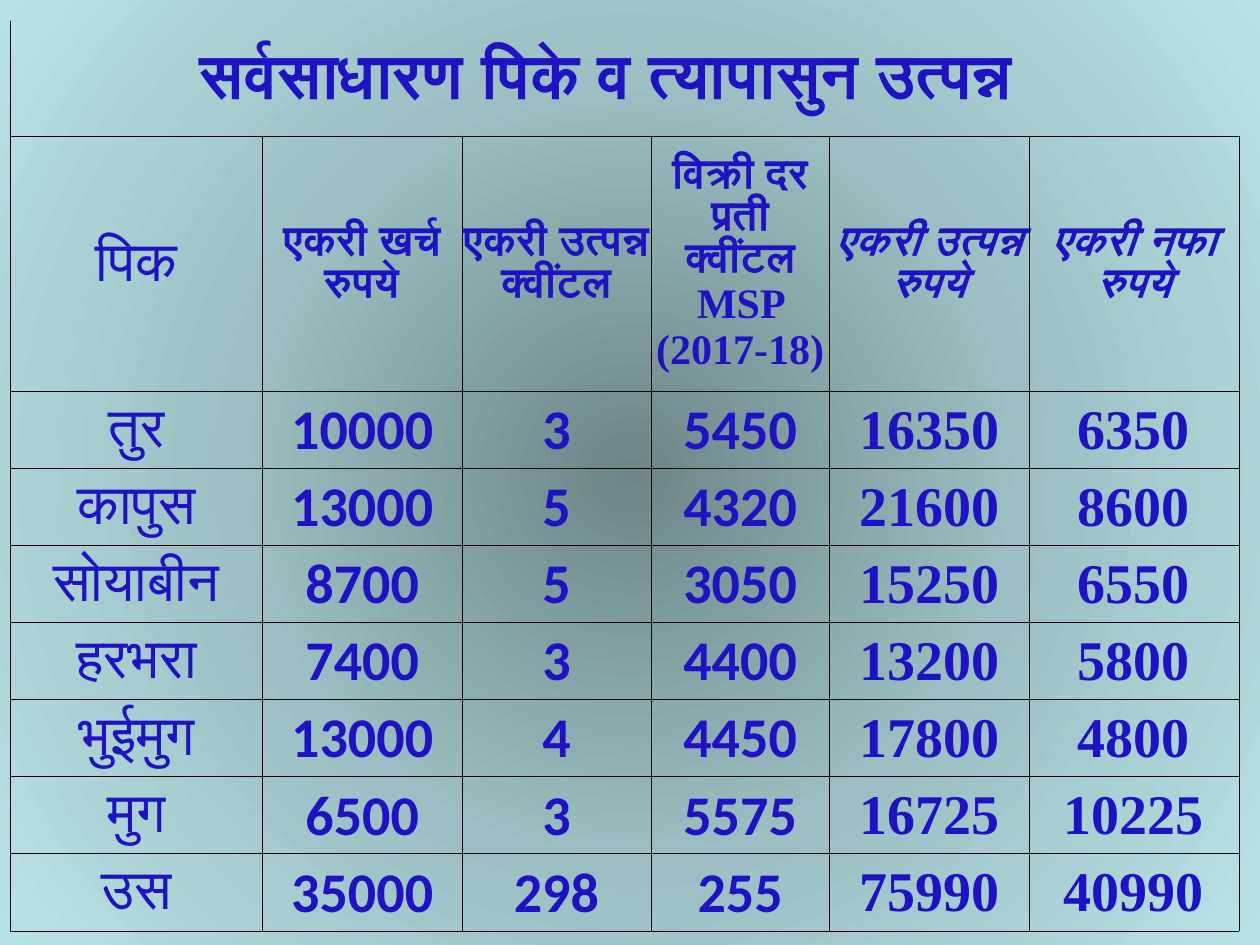
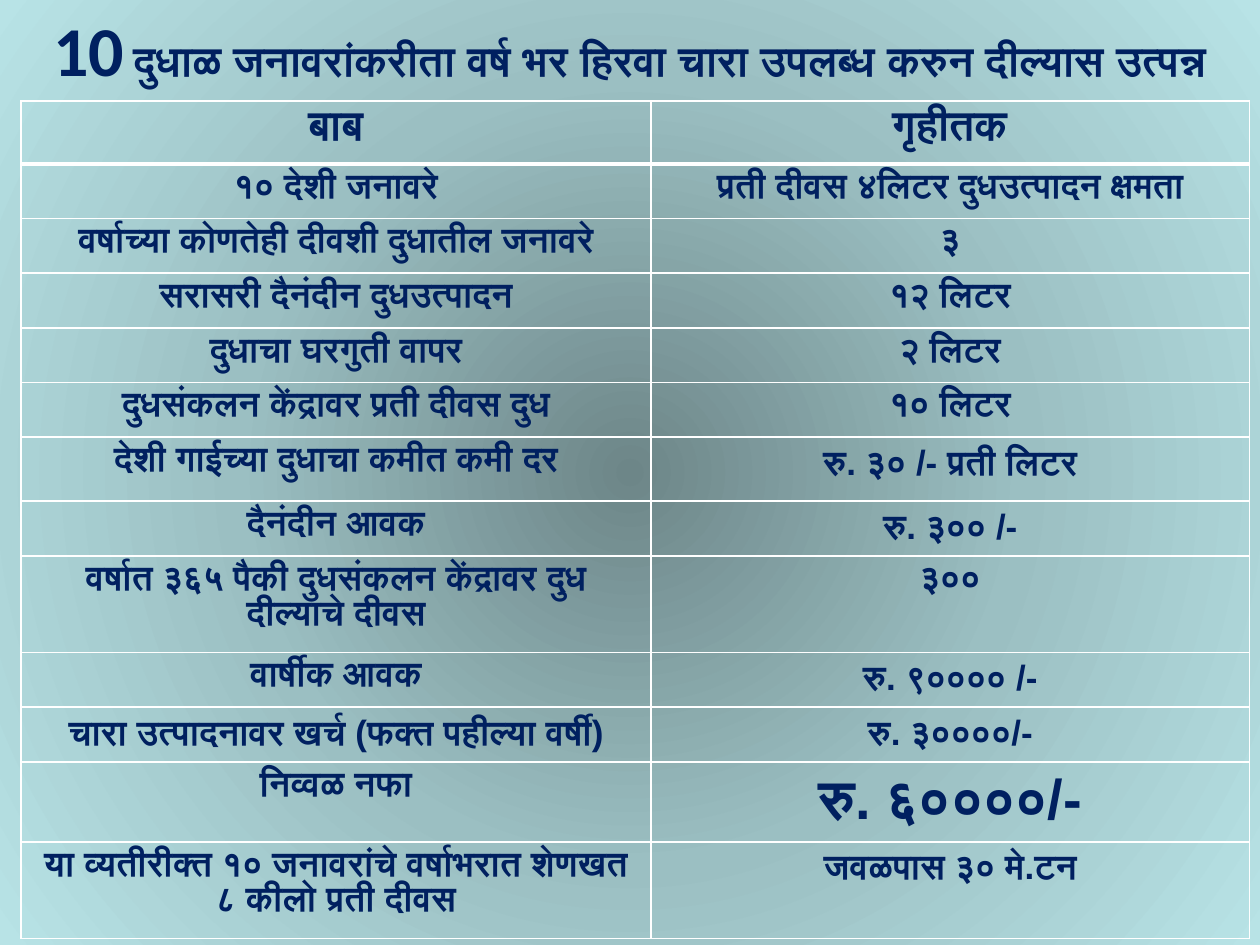
from dataclasses import dataclass, field
from typing import Callable

from lxml.etree import SubElement
from pptx import Presentation
from pptx.dml.color import RGBColor
from pptx.enum.text import MSO_ANCHOR, PP_ALIGN
from pptx.oxml import parse_xml
from pptx.oxml.ns import nsdecls, qn
from pptx.util import Emu, Inches, Pt


@dataclass(frozen=True)
class Theme:
    crop_ink: str = "1F12C4"
    milk_ink: str = "002060"
    crop_rule: str = "000000"
    milk_rule: str = "FFFFFF"
    glow: tuple = ((0, "6D8688"), (50, "9BBFC2"), (100, "B8E3E6"))
    serif: str = "Times New Roman"
    sans: str = "Calibri"
    plain: str = "Arial"
    huge: int = 40
    title: int = 36
    large: int = 32
    head: int = 24
    body: int = 20
    thin: float = 0.5
    medium: float = 1
    thick: float = 3


@dataclass(frozen=True)
class Style:
    size: int
    font: str
    color: str
    bold: bool = True
    italic: bool = False


@dataclass(frozen=True)
class Grid:
    left: float
    top: float
    cols: list[float]
    rows: list[float]
    style: Callable[[int, int], Style]
    borders: Callable[[int, int], dict[str, float]]
    rule: str
    cell_format: dict = field(default_factory=dict)


T = Theme()
WIDTH, HEIGHT = Inches(10), Inches(7.5)
COLUMNS, ROWS = 120, 90

CROP_TITLE = "सर्वसाधारण पिके व त्यापासुन उत्पन्न"
CROPS = [
    ("पिक", "एकरी खर्च रुपये", "एकरी उत्पन्न क्वींटल",
     "विक्री दर प्रती क्वींटल MSP (2017-18)", "एकरी उत्पन्न रुपये", "एकरी नफा रुपये"),
    ("तुर", 10000, 3, 5450, 16350, 6350),
    ("कापुस", 13000, 5, 4320, 21600, 8600),
    ("सोयाबीन", 8700, 5, 3050, 15250, 6550),
    ("हरभरा", 7400, 3, 4400, 13200, 5800),
    ("भुईमुग", 13000, 4, 4450, 17800, 4800),
    ("मुग", 6500, 3, 5575, 16725, 10225),
    ("उस", 35000, 298, 255, 75990, 40990),
]

MILK_TITLE = ("10", " दुधाळ जनावरांकरीता वर्ष भर हिरवा चारा उपलब्ध करुन दील्यास उत्पन्न")
MILK = [
    ("बाब", "गृहीतक"),
    ("१० देशी जनावरे", "प्रती दीवस ४लिटर दुधउत्पादन क्षमता"),
    ("वर्षाच्या कोणतेही दीवशी दुधातील जनावरे", "३"),
    ("सरासरी दैनंदीन दुधउत्पादन", "१२ लिटर"),
    ("दुधाचा घरगुती वापर", "२ लिटर"),
    ("दुधसंकलन केंद्रावर प्रती दीवस दुध", "१० लिटर"),
    ("देशी गाईच्या दुधाचा कमीत कमी दर", "रु. ३० /- प्रती लिटर"),
    ("दैनंदीन आवक", "रु. ३०० /-"),
    ("वर्षात ३६५ पैकी दुधसंकलन केंद्रावर दुध दील्याचे दीवस", "३००"),
    ("वार्षीक आवक", "रु. ९०००० /-"),
    ("चारा उत्पादनावर खर्च (फक्त पहील्या वर्षी)", "रु. ३००००/-"),
    ("निव्वळ नफा", "रु. ६००००/-"),
    ("या व्यतीरीक्त १० जनावरांचे वर्षाभरात शेणखत ८ कीलो प्रती दीवस", "जवळपास ३० मे.टन"),
]
NET_PROFIT_ROW = 11


def across(n: float) -> Emu:
    return Emu(round(WIDTH * n / COLUMNS))


def down(n: float) -> Emu:
    return Emu(round(HEIGHT * n / ROWS))


def apply(target, values: dict) -> None:
    for name, value in values.items():
        setattr(target, name, value)


def add_run(p, text: str, style: Style) -> None:
    r = p.add_run()
    r.text = text
    apply(r.font, {"size": Pt(style.size), "name": style.font,
                   "bold": style.bold, "italic": style.italic})
    r.font.color.rgb = RGBColor.from_string(style.color)


def add_slide(prs):
    s = prs.slides.add_slide(prs.slide_layouts[6])
    stops = "".join(f'<a:gs pos="{pos * 1000}"><a:srgbClr val="{color}"/></a:gs>'
                    for pos, color in T.glow)
    s.element.cSld.insert(0, parse_xml(
        f'<p:bg {nsdecls("p", "a")}><p:bgPr><a:gradFill rotWithShape="1">'
        f'<a:gsLst>{stops}</a:gsLst><a:path path="circle">'
        '<a:fillToRect l="50000" t="50000" r="50000" b="50000"/></a:path>'
        '</a:gradFill><a:effectLst/></p:bgPr></p:bg>'))
    return s


def set_borders(cell, widths: dict[str, float], color: str) -> None:
    tcPr = cell._tc.get_or_add_tcPr()
    for side in "LRTB":
        ln = SubElement(tcPr, qn(f"a:ln{side}"))
        if side in widths:
            ln.set("w", str(Pt(widths[side])))
            fill = SubElement(ln, qn("a:solidFill"))
            SubElement(fill, qn("a:srgbClr")).set("val", color)
        else:
            SubElement(ln, qn("a:noFill"))
    cell.fill.background()


def add_grid(s, grid: Grid, records: list[tuple]):
    frame = s.shapes.add_table(len(grid.rows), len(grid.cols),
                               across(grid.left), down(grid.top),
                               across(sum(grid.cols)), down(sum(grid.rows)))
    table = frame.table
    apply(table, {"first_row": False, "horz_banding": False})
    for column, width in zip(table.columns, grid.cols):
        column.width = across(width)
    for row, height in zip(table.rows, grid.rows):
        row.height = down(height)
    for i, record in enumerate(records):
        for j, value in enumerate(record):
            cell = table.cell(i, j)
            set_borders(cell, grid.borders(i, j), grid.rule)
            apply(cell, grid.cell_format)
            if value != "":
                p = cell.text_frame.paragraphs[0]
                p.alignment = PP_ALIGN.CENTER
                add_run(p, str(value), grid.style(i, j))
    return table


def crop_style(i: int, j: int) -> Style:
    if i == 0:
        return Style(T.title, T.serif, T.crop_ink)
    if j == 0:
        return Style(T.large, T.serif, T.crop_ink, bold=False)
    if i == 1:
        return Style(T.head, T.serif, T.crop_ink, italic=j > 3)
    return Style(T.large, T.sans if j < 4 else T.serif, T.crop_ink)


def crop_borders(i: int, j: int) -> dict[str, float]:
    sides = "LRTB" if i else "LB" if j == 0 else "B"
    return dict.fromkeys(sides, T.thin)


def milk_style(i: int, j: int) -> Style:
    size = T.head if i == 0 else T.large if (i, j) == (NET_PROFIT_ROW, 1) else T.body
    return Style(size, T.plain, T.milk_ink)


def milk_borders(i: int, j: int) -> dict[str, float]:
    widths = dict.fromkeys("LRTB", T.medium)
    if i < 2:
        widths["BT"[i]] = T.thick
    return widths


def crop_slide(prs) -> None:
    s = add_slide(prs)
    inset = Inches(0.01)
    grid = Grid(1, 2, [24, 19, 18, 17, 19, 20], [11, 24.25] + [7.35] * 7,
                crop_style, crop_borders, T.crop_rule,
                {"margin_left": inset, "margin_right": inset, "margin_top": inset,
                 "margin_bottom": 0, "vertical_anchor": MSO_ANCHOR.MIDDLE})
    table = add_grid(s, grid, [(CROP_TITLE,) + ("",) * 5] + CROPS)
    title = table.cell(0, 0)
    title.merge(table.cell(0, len(grid.cols) - 1))
    title.margin_left = across(18)
    title.text_frame.paragraphs[0].alignment = PP_ALIGN.LEFT


def milk_slide(prs) -> None:
    s = add_slide(prs)
    tf = s.shapes.add_textbox(0, 0, WIDTH, down(13)).text_frame
    tf.word_wrap = True
    p = tf.paragraphs[0]
    p.alignment = PP_ALIGN.CENTER
    for text, size in zip(MILK_TITLE, (T.huge, T.head)):
        add_run(p, text, Style(size, T.sans, T.milk_ink))
    line, double = 5.2, 9.2
    rows = [6] + [line] * 5 + [6.1, line, double, line, line, 7.6, double]
    add_grid(s, Grid(2, 9.6, [60, 57], rows, milk_style, milk_borders, T.milk_rule), MILK)


def main() -> None:
    prs = Presentation()
    apply(prs, {"slide_width": WIDTH, "slide_height": HEIGHT})
    crop_slide(prs)
    milk_slide(prs)
    prs.save("out.pptx")


if __name__ == "__main__":
    main()
